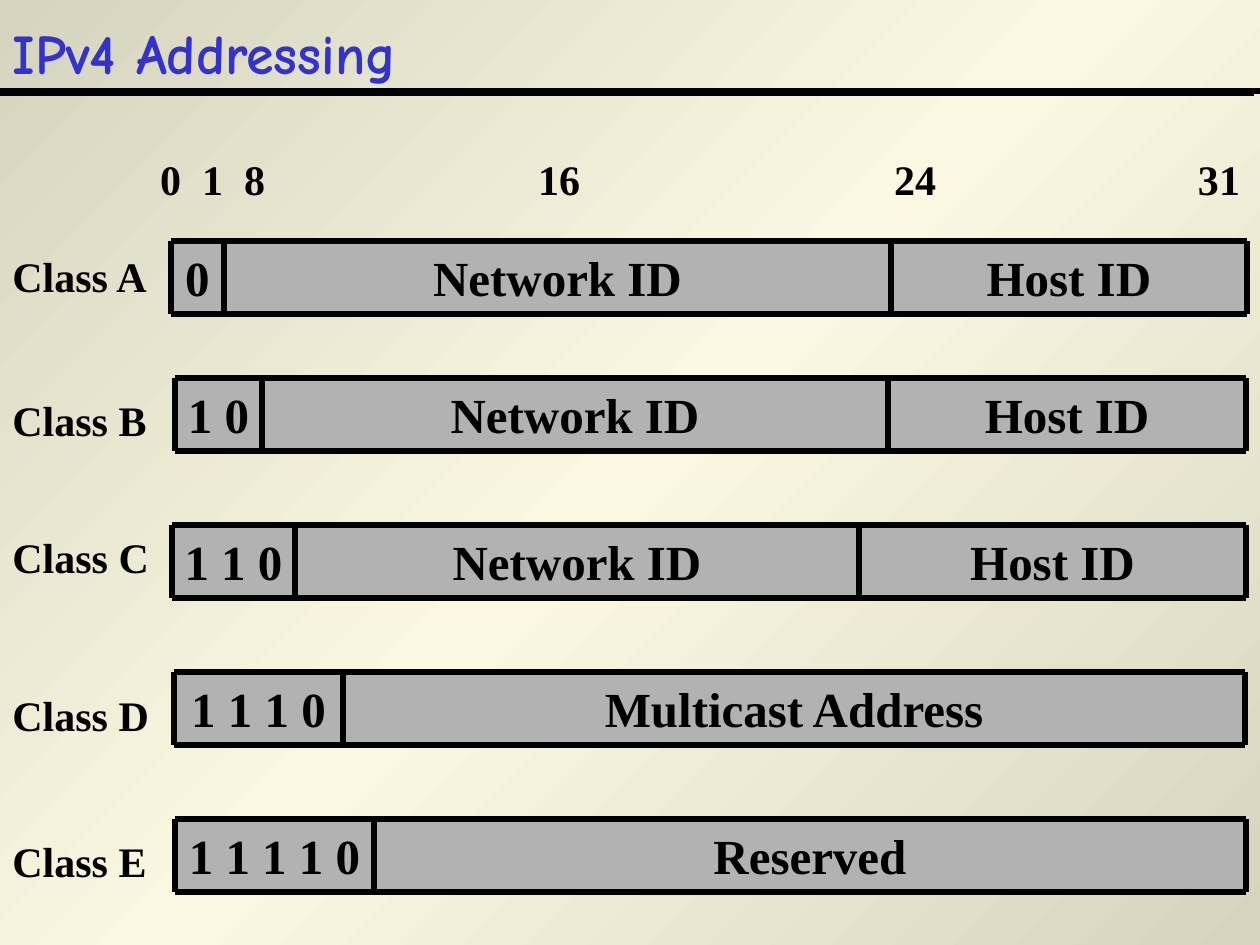
from copy import deepcopy

from lxml.etree import SubElement
from pptx import Presentation
from pptx.dml.color import RGBColor as Rgb
from pptx.enum.shapes import MSO_CONNECTOR as Connector, MSO_SHAPE as Shape
from pptx.enum.text import MSO_ANCHOR as Anchor, PP_ALIGN as Align
from pptx.oxml.ns import qn
from pptx.util import Emu, Pt

PX = 914400 // 126
COLORS = {"title": "3333CC", "ink": "000000", "cell": "B2B2B2",
          "edge": "D5D4BF", "glow": "FAF8E0"}


def write(box, text, size=24, font="Times New Roman", color="ink",
          align=Align.LEFT, anchor=Anchor.TOP):
    frame = box.text_frame
    frame.word_wrap = True
    frame.vertical_anchor = anchor
    para = frame.paragraphs[0]
    para.alignment = align
    span = para.add_run()
    span.text = text
    span.font.size = Pt(size)
    span.font.name = font
    span.font.bold = True
    span.font.color.rgb = Rgb.from_string(COLORS[color])
    return para


def draw_line(x1, y1, x2, y2):
    line = page.shapes.add_connector(
        Connector.STRAIGHT, *(Emu(v * PX) for v in (x1, y1, x2, y2)))
    line.line.color.rgb = Rgb.from_string(COLORS["ink"])
    line.line.width = Pt(3)
    SubElement(line._element.spPr, qn("a:effectLst"))


deck = Presentation()
deck.slide_width, deck.slide_height = Emu(1260 * PX), Emu(945 * PX)
page = deck.slides.add_slide(deck.slide_layouts[6])

# Background: diagonal gradient, light in the middle
fill = page.background.fill
fill.gradient()
fill.gradient_angle = 135
stop_list = page.element.find(".//" + qn("a:gsLst"))
stop_list.append(deepcopy(stop_list[0]))
for stop, position, name in zip(fill.gradient_stops, (0, 0.5, 1),
                                ("edge", "glow", "edge")):
    stop.position = position
    stop.color.rgb = Rgb.from_string(COLORS[name])

# Title and its double rule
draw_line(0, 91, 1260, 91)
title = page.shapes.add_textbox(0, 10 * PX, 1071 * PX, 84 * PX)
write(title, "IPv4 Addressing", size=32, font="Comic Neue", color="title",
      anchor=Anchor.MIDDLE)
draw_line(-6, 93, 1254, 93)

# Address classes: label, label top, bar top, cell edges, cell texts
BAR_HEIGHT = 73
classes = [
    ("Class A", 244, 241, (171, 224, 891, 1247), ("0", "Network ID", "Host ID")),
    ("Class B", 388, 378, (175, 262, 888, 1246), ("1 0", "Network ID", "Host ID")),
    ("Class C", 525, 525, (172, 295, 859, 1246), ("1 1 0", "Network ID", "Host ID")),
    ("Class D", 683, 672, (174, 343, 1245), ("1 1 1 0", "Multicast Address")),
    ("Class E", 829, 819, (175, 374, 1246), ("1 1 1 1 0", "Reserved")),
]
for label, label_top, top, edges, texts in classes:
    for left, right, text in zip(edges, edges[1:], texts):
        cell = page.shapes.add_shape(Shape.RECTANGLE, left * PX, top * PX,
                                     (right - left) * PX, BAR_HEIGHT * PX)
        cell.shadow.inherit = False
        cell.fill.solid()
        cell.fill.fore_color.rgb = Rgb.from_string(COLORS["cell"])
        cell.line.fill.background()
        write(cell, text, size=28, align=Align.CENTER)
    bottom = top + BAR_HEIGHT
    for x in edges:
        draw_line(x, top, x, bottom)
    for y in (top, bottom):
        draw_line(edges[0], y, edges[-1], y)
    name_box = page.shapes.add_textbox(0, label_top * PX, 168 * PX, 63 * PX)
    write(name_box, label)

# Bit positions, set at tab stops
bits = page.shapes.add_textbox(42 * PX, 147 * PX, 1218 * PX, 63 * PX)
bits.text_frame.margin_left = Emu(118 * PX)
bits.text_frame.margin_right = 0
bit_para = write(bits, "0\t1\t8\t16\t24\t31")
tab_list = SubElement(bit_para._p.get_or_add_pPr(), qn("a:tabLst"))
for x in (42, 84, 378, 734, 1038):
    SubElement(tab_list, qn("a:tab"), pos=str(x * PX), algn="l")

deck.save("out.pptx")
